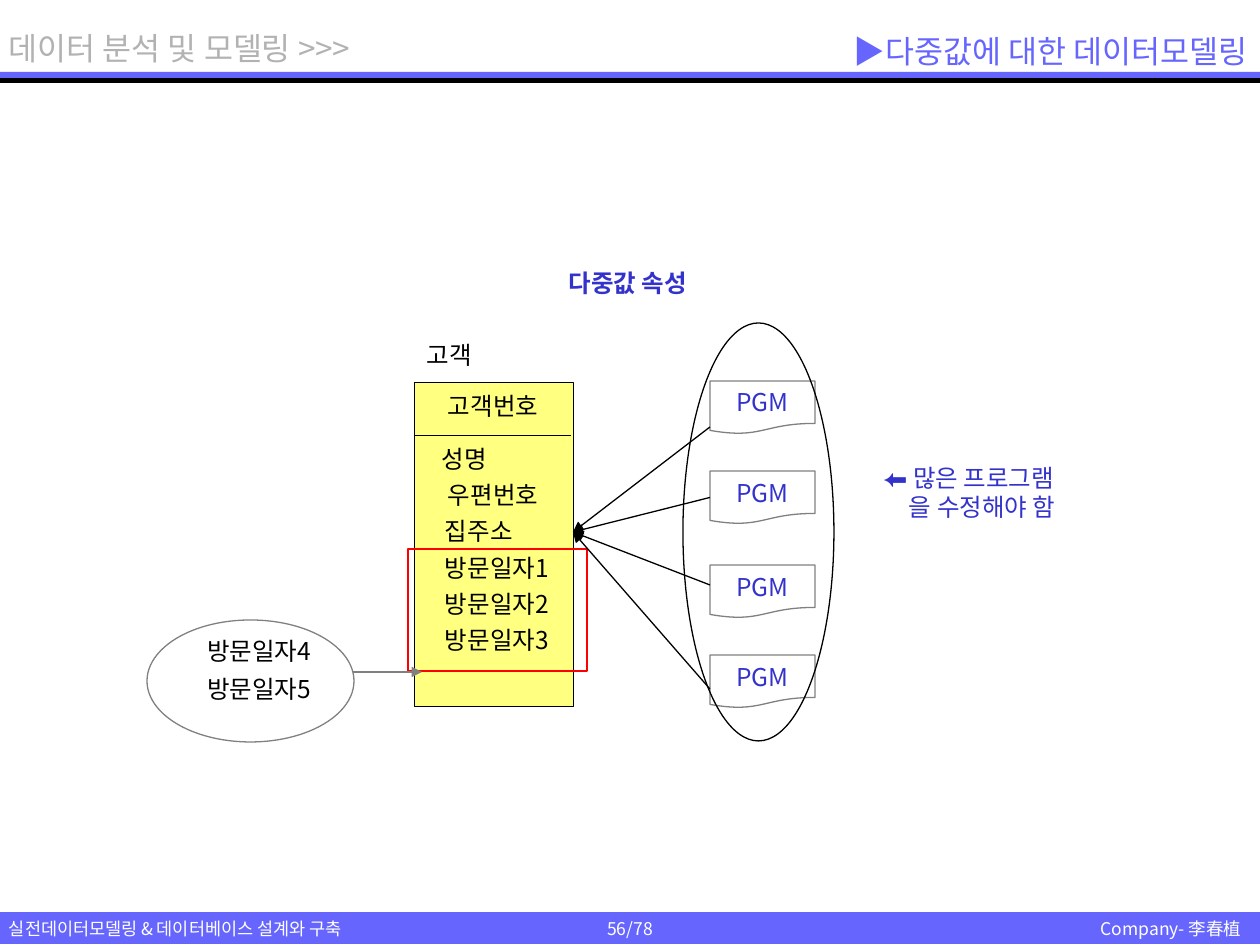
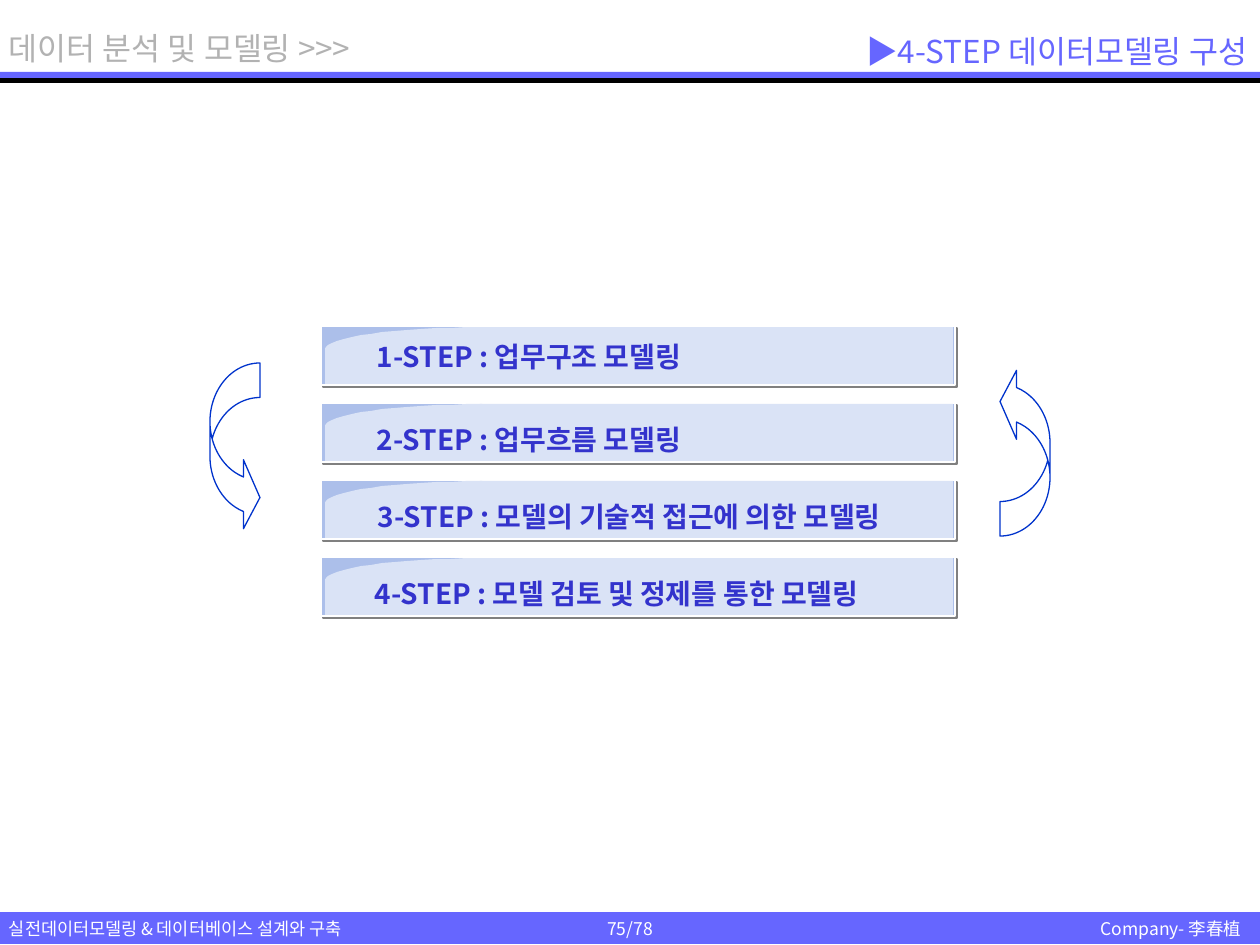
import pptx
import pptx.util
import pptx.dml.color
import pptx.enum.shapes
import pptx.enum.text
import pptx.oxml.ns
from lxml import etree

PX = 914400 / 126  # EMU in one px
W, H = 1260, 945
FONT = "Noto Sans CJK KR"
C = {"band": "6666FF", "ink": "000000", "white": "FFFFFF", "crumb": "B2B2B2",
     "accent": "3333CC", "grey": "808080", "entity": "FFFF80", "alert": "FF0000",
     "bar": "ACBFEA", "bar_light": "DAE3F6", "loop": "0033CC"}
SHAPE = pptx.enum.shapes.MSO_SHAPE
ALIGN = {"l": pptx.enum.text.PP_ALIGN.LEFT, "c": pptx.enum.text.PP_ALIGN.CENTER,
         "r": pptx.enum.text.PP_ALIGN.RIGHT}
ANCHOR = {"t": pptx.enum.text.MSO_ANCHOR.TOP, "m": pptx.enum.text.MSO_ANCHOR.MIDDLE}


def emu(px):
    return pptx.util.Emu(round(px * PX))


def rgb(name):
    return pptx.dml.color.RGBColor.from_string(C[name])


def sub(parent, tag, **attrs):
    return etree.SubElement(parent, pptx.oxml.ns.qn(tag), attrs)


def write(sp, text, size=14, color="ink", bold=False, align="l", anchor="t",
          inset=(13, 6), font=FONT):
    """Fill a shape with one formatted paragraph and return it."""
    tf = sp.text_frame
    tf.word_wrap = True
    tf.auto_size = pptx.enum.text.MSO_AUTO_SIZE.NONE
    tf.vertical_anchor = ANCHOR[anchor]
    tf.margin_left = tf.margin_right = emu(inset[0])
    tf.margin_top = tf.margin_bottom = emu(inset[1])
    p = tf.paragraphs[0]
    p.alignment = ALIGN[align]
    add_run(p, text, size, color, bold, font)
    return p


def add_run(p, text, size=14, color="ink", bold=False, font=FONT):
    r = p.add_run()
    r.text = text
    r.font.size = pptx.util.Pt(size)
    r.font.bold = bold
    r.font.color.rgb = rgb(color)
    r.font.name = font
    sub(r._r.get_or_add_rPr(), "a:ea", typeface=font)


def label(s, box, text, **fmt):
    sp = s.shapes.add_textbox(*map(emu, box))
    return write(sp, text, **fmt)


def paint(sp, fill=None, line=None, width=0.75):
    sp.shadow.inherit = False
    if fill:
        sp.fill.solid()
        sp.fill.fore_color.rgb = rgb(fill)
    else:
        sp.fill.background()
    if line:
        sp.line.color.rgb = rgb(line)
        sp.line.width = pptx.util.Pt(width)
    else:
        sp.line.fill.background()
    return sp


def shape(s, kind, box, **style):
    return paint(s.shapes.add_shape(kind, *map(emu, box)), **style)


def line(s, start, end, color="ink", width=0.75, arrow=False):
    cx = s.shapes.add_connector(pptx.enum.shapes.MSO_CONNECTOR.STRAIGHT,
                                *map(emu, start + end))
    cx.line.color.rgb = rgb(color)
    cx.line.width = pptx.util.Pt(width)
    if arrow:
        sub(cx.line._get_or_add_ln(), "a:tailEnd", type="triangle")
    sub(cx._element.spPr, "a:effectLst")
    return cx


def base_slide(prs, title, page):
    """Header, title and footer shared by every slide."""
    s = prs.slides.add_slide(prs.slide_layouts[5])
    # Header
    shape(s, SHAPE.RECTANGLE, (0, 72, W, 7), fill="band")
    for y in (79, 80, 82):
        line(s, (0, y), (W, y))
    label(s, (-4, 23, 450, 50), "데이터 분석 및 모델링 >>>", size=18, color="crumb")
    sp = s.shapes.title
    sp.left, sp.top, sp.width, sp.height = map(emu, (630, 24, 630, 54))
    write(sp, "▶" + title, size=18, color="band", align="r", anchor="m")
    # Footer
    band = shape(s, SHAPE.RECTANGLE, (0, 912, W, 32), fill="band")
    write(band, f"{page}/78", size=10, color="white", align="c", anchor="m")
    label(s, (-4, 912, 450, 34), "실전데이터모델링 & 데이터베이스 설계와 구축",
          size=10, color="white")
    label(s, (1060, 912, 194, 34), "Company- 李春植", size=10, color="white", align="r")
    return s


def customer_entity(s, x, y, w, h):
    """Entity box with its key, its attributes and the repeated ones framed."""
    flat = {"inset": (0, 0)}
    shape(s, SHAPE.RECTANGLE, (x, y, w, h), fill="entity", line="ink", width=0.5)
    label(s, (x + 13, y - 42, 100, 30), "고객", **flat)
    line(s, (x, y + 53), (x + w - 2, y + 53), width=0.5)
    label(s, (x + 34, y + 9, 120, 30), "고객번호", **flat)
    attributes = [("성명", 28), ("우편번호", 34), ("집주소", 31)]
    attributes += [(f"방문일자{n}", 31) for n in (1, 2, 3)]
    for i, (name, dx) in enumerate(attributes):
        label(s, (x + dx, y + 62 + i * 109 // 3, 125, 30), name, **flat)
    shape(s, SHAPE.RECTANGLE, (x - 6, y + 167, 179, 122), line="alert", width=1.5)


def new_visits(s, x, y, w, h):
    """Further visit dates that push into the entity."""
    for i, n in enumerate((4, 5)):
        label(s, (x + 41, y + 16 + 38 * i, 142, 30), f"방문일자{n}",
              align="c", inset=(0, 0))
    line(s, (x + w - 1, y + 52), (x + w + 68, y + 52), color="grey", arrow=True)
    shape(s, SHAPE.OVAL, (x, y, w, h), line="grey")


def programs(s, x, y, w, h, target):
    """Programs inside an ellipse, each pointing at the target."""
    left = x + 27
    for dy, start_dy in ((58, 104), (148, 175), (242, 262), (332, 366)):
        doc = shape(s, SHAPE.FLOWCHART_DOCUMENT, (left, y + dy, 105, 53), line="grey")
        write(doc, "PGM", color="accent", align="c", anchor="m")
        cx = line(s, (left, y + start_dy), target, arrow=True)
        if dy == 148:
            cx.begin_connect(doc, 1)
    shape(s, SHAPE.OVAL, (x, y, w, h), line="ink")


def change_note(s, x, y, w, h):
    p = label(s, (x, y, w, h), "⬅", color="accent", font="Arial")
    add_run(p, " 많은 프로그램", color="accent")
    p = s.shapes[-1].text_frame.add_paragraph()
    p._p.get_or_add_pPr().set("marL", str(emu(26)))
    add_run(p, "을 수정해야 함", color="accent")


def step_bar(s, x, y, w, h, text, text_dx, text_dy):
    """Bar with a curved highlight, a drop shadow and its step name."""
    bar = shape(s, SHAPE.RECTANGLE, (x, y, w, h), fill="bar", line="white", width=1)
    shadow = sub(bar._element.spPr.find(pptx.oxml.ns.qn("a:effectLst")),
                 "a:outerShdw", dist="17960", dir="2700000", algn="ctr",
                 rotWithShape="0")
    sub(shadow, "a:srgbClr", val=C["grey"])
    # Highlight edge: a cubic curve from the top to the left side
    curve = []
    for i in range(17):
        t = i / 16
        weights = ((1 - t) ** 3, 3 * t * (1 - t) ** 2, 3 * t * t * (1 - t), t ** 3)
        curve.append(tuple(sum(a * b for a, b in zip(weights, pts))
                           for pts in ((x + 161, x + 75, x + 4, x + 4),
                                       (y + 1, y + 2, y + 11, y + 23))))
    fb = s.shapes.build_freeform(*curve[0], scale=PX)
    fb.add_line_segments(curve[1:] + [(x + 161, y + 23)], close=True)
    paint(fb.convert_to_shape(), fill="bar_light")
    shape(s, SHAPE.RECTANGLE, (x + 159, y + 1, w - 161, h - 2), fill="bar_light")
    shape(s, SHAPE.RECTANGLE, (x + 4, y + 22, 160, h - 23), fill="bar_light")
    label(s, (x + text_dx, y + text_dy, w - text_dx, 47), text,
          size=16, color="accent", bold=True)


def loop_arrow(s, box, rotation=0):
    sp = shape(s, SHAPE.CURVED_RIGHT_ARROW, box, line="loop")
    for i, value in enumerate((0.69, 1.38, 0.33)):
        sp.adjustments[i] = value
    sp.rotation = rotation


def multivalue_slide(prs):
    s = base_slide(prs, "다중값에 대한 데이터모델링", 56)
    label(s, (528, 262, 200, 43), "다중값 속성", color="accent", bold=True, align="c")
    customer_entity(s, 414, 382, 159, 324)
    new_visits(s, 147, 620, 207, 122)
    programs(s, 683, 323, 151, 418, target=(573, 532))
    change_note(s, 870, 457, 230, 72)


def steps_slide(prs):
    s = base_slide(prs, "4-STEP 데이터모델링 구성", 75)
    steps = [("업무구조 모델링", 43, 8), ("업무흐름 모델링", 43, 14),
             ("모델의 기술적 접근에 의한 모델링", 44, 14),
             ("모델 검토 및 정제를 통한 모델링", 41, 14)]
    for i, (name, dx, dy) in enumerate(steps):
        step_bar(s, 321, 326 + 77 * i, 634, 59, f"{i + 1}-STEP : {name}", dx, dy)
    loop_arrow(s, (210, 363, 50, 169))
    loop_arrow(s, (1000, 367, 50, 169), rotation=180)


def main():
    prs = pptx.Presentation()
    prs.slide_width, prs.slide_height = emu(W), emu(H)
    multivalue_slide(prs)
    steps_slide(prs)
    prs.save("out.pptx")


if __name__ == "__main__":
    main()
